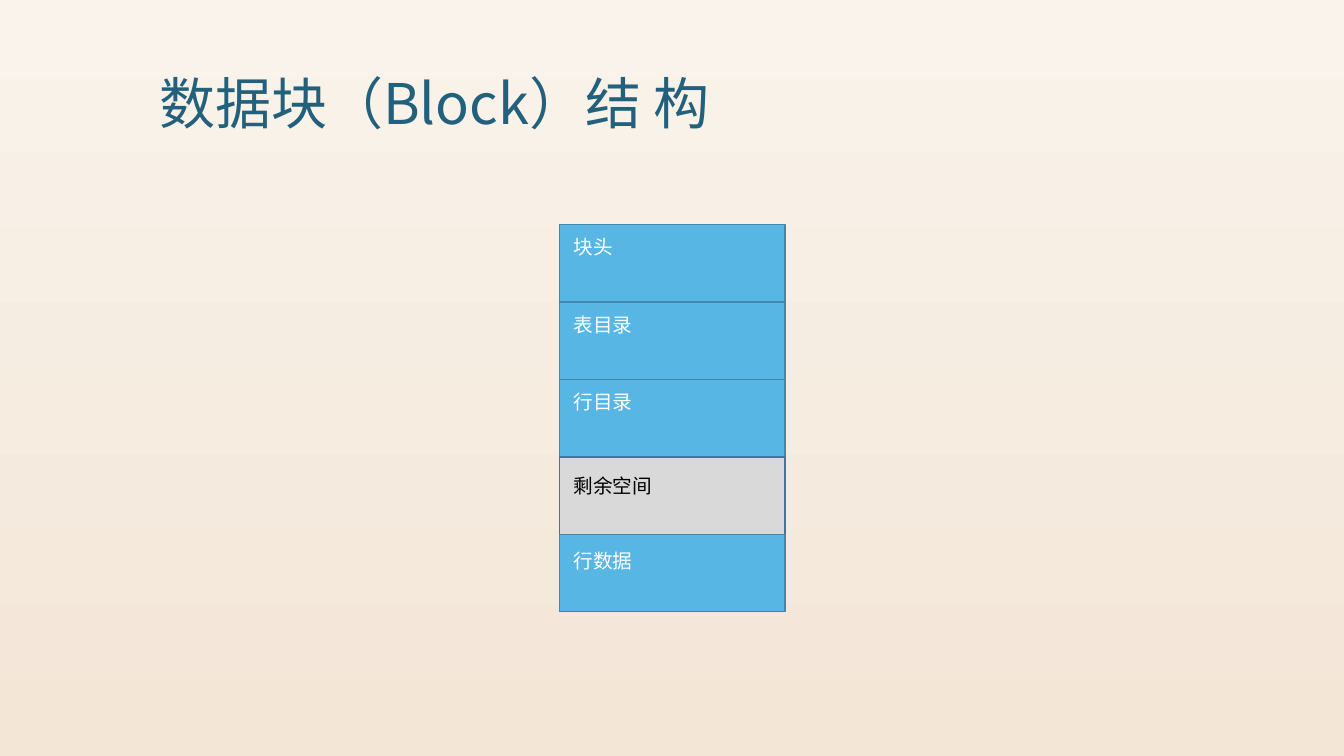
from dataclasses import dataclass

from lxml import etree
from pptx import Presentation
from pptx.dml.color import RGBColor
from pptx.enum.shapes import MSO_SHAPE
from pptx.enum.text import MSO_ANCHOR, MSO_AUTO_SIZE, PP_ALIGN
from pptx.oxml.ns import qn
from pptx.util import Pt

RECTANGLE = MSO_SHAPE.RECTANGLE
TOP = MSO_ANCHOR.TOP
LEFT = PP_ALIGN.LEFT
GROW = MSO_AUTO_SIZE.SHAPE_TO_FIT_TEXT
TITLE_ONLY = 5


@dataclass(frozen=True)
class Theme:
    """Colours, fonts and type sizes of the slide."""
    background: tuple = ("F9F3EB", "F3E6D7")
    title: tuple = ("23607C", "0C364F")
    used: tuple = ("58B6E5", "4187A9", "FFFFFF")
    free: tuple = ("D9D9D9", "476FAA", "000000")
    title_font: str = "Noto Sans CJK SC"
    label_font: str = "Arial"
    asian_font: str = "Noto Sans CJK SC"
    title_size: int = 40
    label_size: int = 14


THEME = Theme()

TITLE = "数据块（Block）结 构"
# Section name, (fill, line, text) colours, gap from section top to label box
SECTIONS = [
    ("块头", THEME.used, 4),
    ("表目录", THEME.used, 4),
    ("行目录", THEME.used, 4),
    ("剩余空间", THEME.free, 8.6),
    ("行数据", THEME.used, 6.5),
]
BLOCK_LEFT, BLOCK_TOP = 399.6, 160.5
SECTION_WIDTH, SECTION_HEIGHT = 161.3, 55.3
LABEL_INDENT, LABEL_HEIGHT, LABEL_PADDING = 3, 24.5, 14.4


def set_format(target, values):
    """Set attributes of an object from a dict of format values."""
    for name, value in values.items():
        setattr(target, name, value)


def place(shape, left, top, width, height):
    """Move and size a shape, in points."""
    set_format(shape, {"left": Pt(left), "top": Pt(top),
                       "width": Pt(width), "height": Pt(height)})


def fill_gradient(fill, colours, angle):
    """Apply a two-colour linear gradient."""
    fill.gradient()
    fill.gradient_angle = angle
    for stop, colour in zip(fill.gradient_stops, colours):
        stop.color.rgb = RGBColor.from_string(colour)


def write_text(box, text, font_name, size, wrap):
    """Write one left-aligned paragraph and return it with its span."""
    frame = box.text_frame
    set_format(frame, {"word_wrap": wrap, "auto_size": GROW,
                       "vertical_anchor": TOP})
    para = frame.paragraphs[0]
    para.alignment = LEFT
    span = para.add_run()
    span.text = text
    set_format(span.font, {"name": font_name, "size": Pt(size)})
    properties = span.font._element
    etree.SubElement(properties, qn("a:ea"), typeface=THEME.asian_font)
    return para, span


def add_title(page):
    """Format the title placeholder."""
    title = page.shapes.title
    place(title, 106.6, 45.4, 421.2, 55.4)
    para, span = write_text(title, TITLE, THEME.title_font,
                            THEME.title_size, True)
    para.line_spacing = Pt(48)
    fill_gradient(span.font.fill, THEME.title, 0)


def add_section(page, top, colours):
    """Draw one section of the data block."""
    box = page.shapes.add_shape(RECTANGLE, Pt(BLOCK_LEFT), Pt(top),
                                Pt(SECTION_WIDTH), Pt(SECTION_HEIGHT))
    box.shadow.inherit = False
    box.fill.solid()
    box.fill.fore_color.rgb = RGBColor.from_string(colours[0])
    box.line.color.rgb = RGBColor.from_string(colours[1])
    box.line.width = Pt(1)


def add_label(page, top, text, colour):
    """Write the name of a section."""
    width = len(text) * THEME.label_size + LABEL_PADDING
    box = page.shapes.add_textbox(Pt(BLOCK_LEFT + LABEL_INDENT), Pt(top),
                                  Pt(width), Pt(LABEL_HEIGHT))
    span = write_text(box, text, THEME.label_font, THEME.label_size, False)[1]
    span.font.color.rgb = RGBColor.from_string(colour)


def main():
    """Build the slide and save the deck."""
    deck = Presentation()
    set_format(deck, {"slide_width": Pt(960), "slide_height": Pt(540)})
    page = deck.slides.add_slide(deck.slide_layouts[TITLE_ONLY])
    fill_gradient(page.background.fill, THEME.background, 270)
    add_title(page)
    tops = [BLOCK_TOP + row * SECTION_HEIGHT for row in range(len(SECTIONS))]
    for top, (_, colours, _) in zip(tops, SECTIONS):
        add_section(page, top, colours)
    for top, (name, colours, gap) in zip(tops, SECTIONS):
        add_label(page, top + gap, name, colours[2])
    deck.save("out.pptx")


main()
